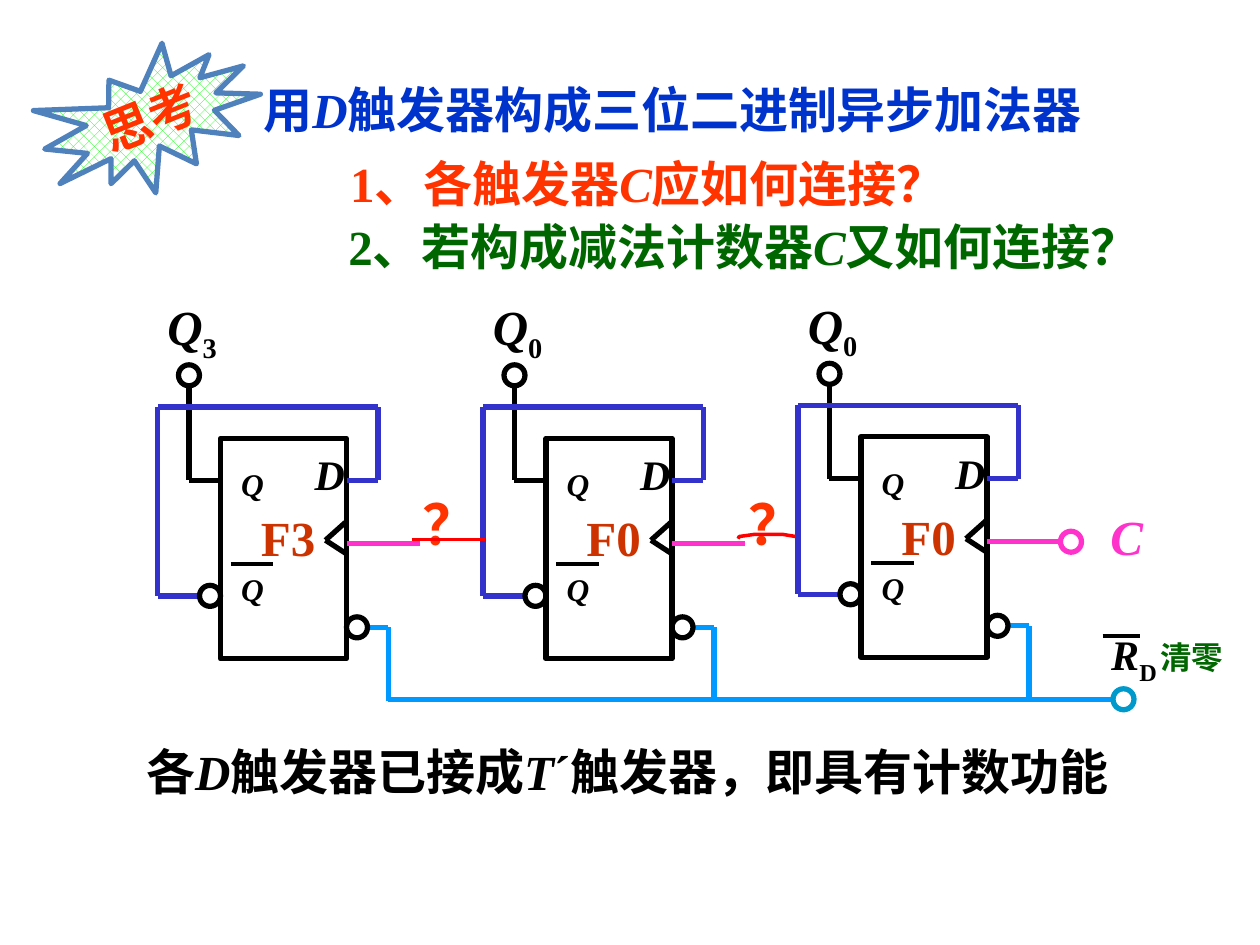
from dataclasses import dataclass

from lxml import etree
from pptx import Presentation
from pptx.dml.color import RGBColor
from pptx.enum.dml import MSO_PATTERN
from pptx.enum.lang import MSO_LANGUAGE_ID
from pptx.enum.shapes import MSO_CONNECTOR, MSO_SHAPE
from pptx.enum.text import MSO_ANCHOR, MSO_AUTO_SIZE, PP_ALIGN
from pptx.oxml.ns import qn
from pptx.util import Inches, Pt

CELLS_PER_INCH = 12
TITLE_ONLY = 5
STRAIGHT = MSO_CONNECTOR.STRAIGHT
OVAL = MSO_SHAPE.OVAL
RECTANGLE = MSO_SHAPE.RECTANGLE
BURST = MSO_SHAPE.EXPLOSION1
DOTTED = MSO_PATTERN.from_xml("pct40")
CENTER = PP_ALIGN.CENTER
MIDDLE = MSO_ANCHOR.MIDDLE
GROW = MSO_AUTO_SIZE.SHAPE_TO_FIT_TEXT
CHINESE = MSO_LANGUAGE_ID.from_xml("zh-CN")
ITALIC, SUBSCRIPT = "italic", "subscript"


@dataclass(frozen=True)
class Theme:
    """Colours, type sizes and line widths of the slide."""
    font: str = "Times New Roman"
    black: str = "000000"
    white: str = "FFFFFF"
    heading: str = "0033CC"
    question: str = "FF3300"
    green: str = "006600"
    name: str = "CC3300"
    clock: str = "FF33CC"
    reset: str = "0099FF"
    reset_pin: str = "0099CC"
    feedback: str = "3333CC"
    ink: str = "FF0000"
    burst_line: str = "4F81BD"
    burst_dots: str = "00FF00"
    mark: int = 32
    large: int = 28
    medium: int = 24
    small: int = 18
    wire: float = 3
    overline: float = 2.25
    stroke: float = 2


THEME = Theme()


def cells(*values):
    """Convert grid cells to lengths."""
    return [Inches(value / CELLS_PER_INCH) for value in values]


def paint_line(line, color, width):
    """Give a line its colour and width."""
    line.color.rgb = RGBColor.from_string(color)
    line.width = Pt(width)


def write_text(shape, *runs, size=THEME.large, color=THEME.black, wrap=False, grow=True):
    """Write centred bold runs, each a string or a (string, style) pair."""
    frame = shape.text_frame
    frame.word_wrap = wrap
    frame.vertical_anchor = MIDDLE
    if grow:
        frame.auto_size = GROW
    paragraph = frame.paragraphs[0]
    paragraph.alignment = CENTER
    spacing = etree.SubElement(paragraph._p.get_or_add_pPr(), qn("a:spcBef"))
    etree.SubElement(spacing, qn("a:spcPct")).set("val", "50000")
    for item in runs:
        text, style = (item, None) if isinstance(item, str) else item
        run = paragraph.add_run()
        run.text = text
        font = run.font
        font.name, font.size, font.bold = THEME.font, Pt(size), True
        font.italic = style == ITALIC
        font.color.rgb = RGBColor.from_string(color)
        font.language_id = CHINESE
        if style == SUBSCRIPT:
            run._r.get_or_add_rPr().set("baseline", "-25000")


def add_label(slide, box, *runs, **text_format):
    """Add a text box at a grid box."""
    write_text(slide.shapes.add_textbox(*cells(*box)), *runs, **text_format)


def add_outline(slide, kind, box, color=THEME.black):
    """Add an unfilled preset shape."""
    shape = slide.shapes.add_shape(kind, *cells(*box))
    shape.shadow.inherit = False
    shape.fill.background()
    paint_line(shape.line, color, THEME.wire)
    return shape


def add_pin(slide, column, row, color=THEME.black):
    """Add a small circle around a grid point."""
    add_outline(slide, OVAL, (column - 1, row - 1, 2, 2), color)


def add_wire(slide, points, color=THEME.black, width=THEME.wire):
    """Join grid points by straight connectors."""
    for start, end in zip(points, points[1:]):
        wire = slide.shapes.add_connector(STRAIGHT, *cells(*start, *end))
        paint_line(wire.line, color, width)
        etree.SubElement(wire._element.spPr, qn("a:effectLst"))


def add_stroke(slide, points):
    """Add a hand-drawn open stroke through grid points."""
    start, *rest = [tuple(cells(*point)) for point in points]
    builder = slide.shapes.build_freeform(*start)
    builder.add_line_segments(rest, close=False)
    shape = builder.convert_to_shape()
    shape.shadow.inherit = False
    shape.fill.background()
    paint_line(shape.line, THEME.ink, THEME.stroke)


def add_flip_flop(slide, left, top, index):
    """Draw one flip-flop with its pins, wires and labels."""
    def place(*points):
        return [(left + column, top + row) for column, row in points]

    def label(column, row, width, height, *runs, **text_format):
        add_label(slide, (left + column, top + row, width, height), *runs, **text_format)

    add_wire(slide, place((14, 18), (16, 18), (16, 25)), THEME.reset)
    add_outline(slide, RECTANGLE, (left, top, 12, 21))
    add_wire(slide, place((11.9, 8), (10, 9.7), (12, 11)))
    add_wire(slide, place((1, 12), (5, 12)), width=THEME.overline)
    add_wire(slide, place((-3, -5), (-3, 4), (0, 4)))
    loop = place((12, 4), (15, 4), (15, -3), (-6, -3), (-6, 15), (-2, 15))
    add_wire(slide, loop, THEME.feedback)
    add_wire(slide, place((12, 10), (19, 10)), THEME.clock)
    for column, row in place((13, 18), (-3, -6), (-1, 15)):
        add_pin(slide, column, row)
    for row in (2, 12):
        label(0.7, row, 4.7, 4.7, ("Q", ITALIC), size=THEME.small)
    label(7.7, 0.4, 5.4, 6, ("D", ITALIC), size=THEME.medium)
    label(2.6, 6, 7.7, 6.8, f"F{index}", color=THEME.name)
    label(-7, -13.7, 8.6, 6.8, ("Q", ITALIC), (index, SUBSCRIPT), wrap=True)


def add_texts(slide):
    """Write the heading, the questions and the conclusion."""
    title = slide.shapes.title
    title.left, title.top, title.width, title.height = cells(23.8, 7, 80.5, 6.8)
    write_text(title, "用", ("D", ITALIC), "触发器构成三位二进制异步加法器",
               color=THEME.heading, wrap=True)
    for left in (39, 70):
        add_label(slide, (left, 46, 7.9, 7.6), "？", size=THEME.mark, color=THEME.question)
    add_label(slide, (31.8, 20, 78.1, 6.8), "2、若构成减法计数器", ("C", ITALIC),
              "又如何连接？", color=THEME.green, wrap=True)
    add_label(slide, (32, 14, 59.4, 6.8), "1、各触发器", ("C", ITALIC),
              "应如何连接？", color=THEME.question, wrap=True)
    add_label(slide, (12.6, 70, 94.3, 6.8), "各", ("D", ITALIC), "触发器已接成",
              ("T", ITALIC), "´触发器，即具有计数功能", wrap=True)


def add_burst(slide):
    """Add the tilted burst that asks the reader to think."""
    burst = add_outline(slide, BURST, (4, 5, 21, 13), THEME.burst_line)
    burst.rotation = 338.1
    burst.fill.patterned()
    burst.fill.pattern = DOTTED
    burst.fill.fore_color.rgb = RGBColor.from_string(THEME.burst_dots)
    burst.fill.back_color.rgb = RGBColor.from_string(THEME.white)
    write_text(burst, "思考", color=THEME.question, grow=False)


def add_inputs(slide):
    """Draw the reset bus and the clock input."""
    add_wire(slide, [(37, 66.6), (106, 66.6)], THEME.reset)
    add_pin(slide, 107, 66.6, THEME.reset_pin)
    add_pin(slide, 102, 51.6, THEME.clock)
    add_label(slide, (104.5, 47.6, 5.6, 6.8), ("C", ITALIC), color=THEME.clock)
    add_label(slide, (107, 60.2, 13, 4.7), "清零", size=THEME.small,
              color=THEME.green, wrap=True)
    add_label(slide, (103, 59.6, 10, 6), ("R", ITALIC), ("D", SUBSCRIPT),
              size=THEME.medium, wrap=True)
    add_wire(slide, [(105, 60.6), (108.6, 60.6)], width=THEME.overline)


def main():
    """Build and save the slide."""
    presentation = Presentation()
    presentation.slide_width, presentation.slide_height = Inches(10), Inches(7.5)
    slide = presentation.slides.add_slide(presentation.slide_layouts[TITLE_ONLY])
    add_texts(slide)
    add_burst(slide)
    add_inputs(slide)
    for left, top, index in ((82, 41.6, "0"), (52, 41.75, "0"), (21, 41.75, "3")):
        add_flip_flop(slide, left, top, index)
    add_stroke(slide, [(70.3, 51.3), (70.4, 51.1), (71.8, 50.9), (74.6, 50.9), (75.8, 51.1)])
    add_stroke(slide, [(39.2, 51.4), (46.2, 51.4)])
    presentation.save("out.pptx")


main()
